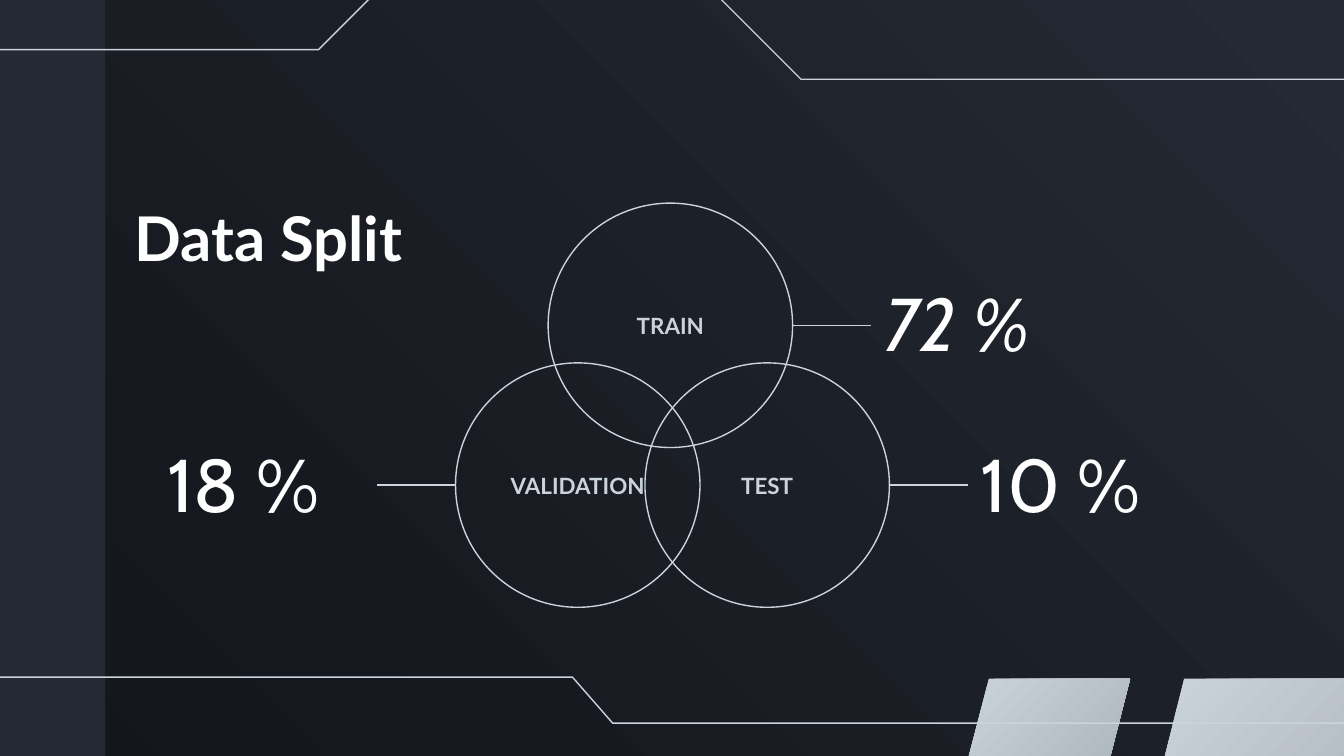
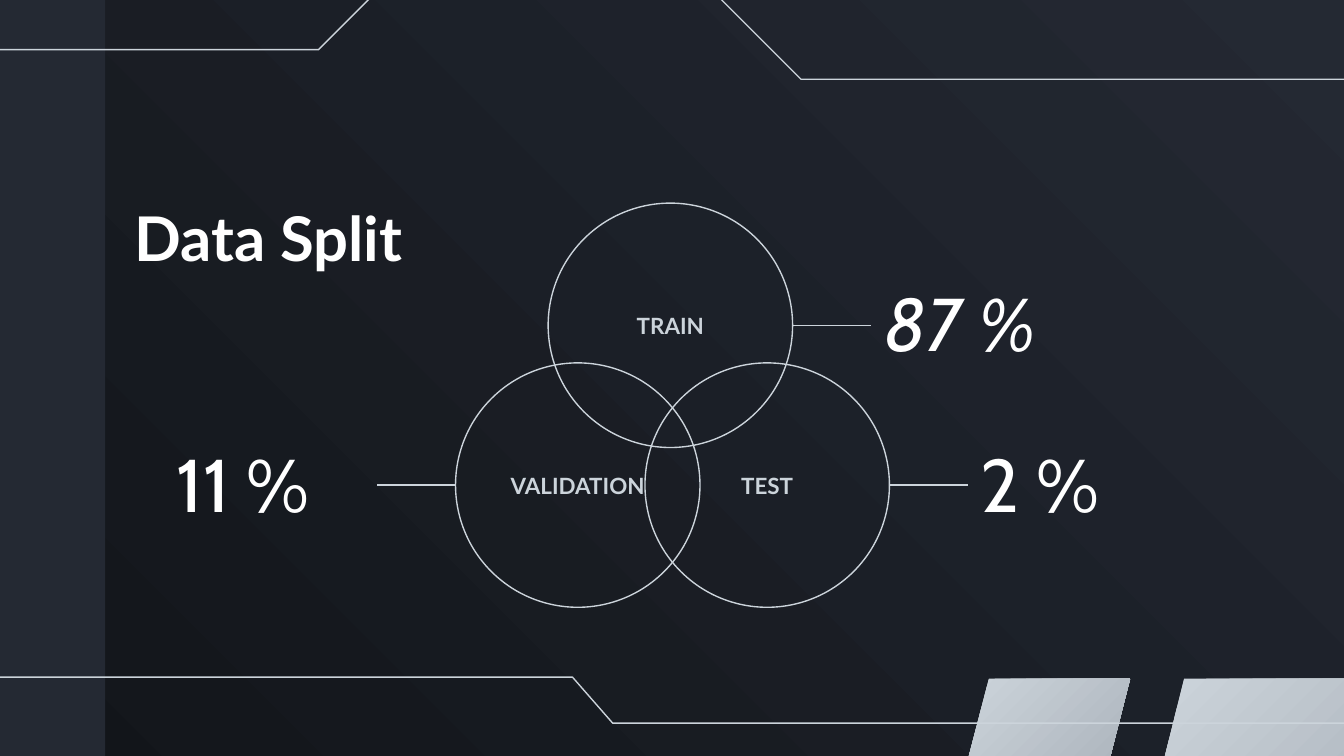
"""Build two data split pages, each with three linked circles and their shares."""
from dataclasses import dataclass

from lxml.etree import SubElement
from pptx import Presentation
from pptx.dml.color import RGBColor
from pptx.dml.fill import FillFormat
from pptx.enum.shapes import MSO_CONNECTOR, MSO_SHAPE
from pptx.enum.text import MSO_ANCHOR, PP_ALIGN
from pptx.oxml.ns import qn
from pptx.shapes.autoshape import Shape
from pptx.slide import Slide
from pptx.util import Cm, Pt

Point = tuple[float, float]


@dataclass(frozen=True)
class Theme:
    """Hold the colours, fonts and sizes of the deck."""
    night: RGBColor = RGBColor(0x12, 0x15, 0x1A)
    slate: RGBColor = RGBColor(0x24, 0x29, 0x33)
    silver: RGBColor = RGBColor(0xCC, 0xD4, 0xDB)
    steel: RGBColor = RGBColor(0xAB, 0xB3, 0xBB)
    white: RGBColor = RGBColor(0xFF, 0xFF, 0xFF)
    text_font: str = "Lato"
    number_font: str = "Cabin"
    title_size: float = 33
    share_size: float = 40
    label_size: float = 12
    line_width: float = 0.75


@dataclass(frozen=True)
class TextStyle:
    """Describe how a single run of text looks."""
    font: str
    size: float
    color: RGBColor
    bold: bool = False
    italic: bool = False


@dataclass(frozen=True)
class Frame:
    """Place a text box, in centimetres."""
    left: float
    top: float
    width: float
    height: float


@dataclass(frozen=True)
class Subset:
    """Describe one circle, its leader side and its share box."""
    label: str
    left: float
    top: float
    side: int
    share_frame: Frame
    align: PP_ALIGN = PP_ALIGN.LEFT
    italic: bool = False


THEME = Theme()
PAGE_WIDTH, PAGE_HEIGHT = 25.4, 14.29
BAND_WIDTH = 1.99
DIAMETER, LEADER = 4.62, 1.49
WIDE_INSET, NARROW_INSET = 0.25, 0.13
TITLE_FRAME = Frame(2.29, 3.53, 6.83, 2.03)
TITLE_STYLE = TextStyle(THEME.text_font, THEME.title_size, THEME.white, bold=True)
LABEL_STYLE = TextStyle(THEME.text_font, THEME.label_size, THEME.silver, bold=True)

TRAIN = Subset("TRAIN", 10.36, 3.84, 1, Frame(16.46, 5.11, 6.12, 2.06), italic=True)
TEST = Subset("TEST", 12.19, 6.86, 1, Frame(18.29, 8.15, 5.03, 2.06))
VALIDATION = Subset("VALIDATION", 8.61, 6.86, -1, Frame(2.08, 8.15, 5.03, 2.06),
                    align=PP_ALIGN.CENTER)
SUBSETS = (TRAIN, TEST, VALIDATION)
SPLITS = (("72 %", "10 %", "18 %"), ("87 %", "2 %", "11 %"))

TILES: tuple[tuple[Point, ...], ...] = (
    ((18.69, 12.83), (18.21, 14.68), (20.88, 14.71), (21.36, 12.83)),
    ((22.38, 12.83), (21.92, 14.68), (27.53, 14.66), (27.53, 12.83)),
)
CIRCUITS: tuple[tuple[Point, ...], ...] = (
    ((-0.1, 0.94), (6.02, 0.94), (7.11, -0.15), (13.49, -0.15), (15.14, 1.5), (25.73, 1.5)),
    ((-0.64, 12.8), (10.82, 12.8), (11.58, 13.67), (26.47, 13.67)),
)


def apply_gradient(fill: FillFormat, start: RGBColor, end: RGBColor, angle: float) -> None:
    """Fill with a two-colour gradient at a counter-clockwise angle."""
    fill.gradient()
    fill.gradient_angle = angle
    for stop, color in zip(fill.gradient_stops, (start, end)):
        stop.color.rgb = color


def apply_outline(shape: Shape) -> None:
    """Leave a shape hollow with a thin silver outline."""
    shape.shadow.inherit = False
    shape.fill.background()
    shape.line.color.rgb = THEME.silver
    shape.line.width = Pt(THEME.line_width)


def add_outline_path(page: Slide, points: tuple[Point, ...], close: bool) -> Shape:
    """Draw a freeform through the given points."""
    corners = [(Cm(x), Cm(y)) for x, y in points]
    builder = page.shapes.build_freeform(*corners[0])
    builder.add_line_segments(corners[1:], close=close)
    return builder.convert_to_shape()


def write_text(shape: Shape, text: str, style: TextStyle, align: PP_ALIGN,
               vertical_inset: float) -> None:
    """Write one styled run into a shape."""
    frame = shape.text_frame
    frame.word_wrap = True
    frame.margin_left = frame.margin_right = Cm(WIDE_INSET)
    frame.margin_top = frame.margin_bottom = Cm(vertical_inset)
    para = frame.paragraphs[0]
    para.alignment = align
    span = para.add_run()
    span.text = text
    span.font.name = style.font
    span.font.size = Pt(style.size)
    span.font.color.rgb = style.color
    span.font.bold = style.bold
    span.font.italic = style.italic


def add_text(page: Slide, frame: Frame, text: str, style: TextStyle,
             align: PP_ALIGN = PP_ALIGN.LEFT, vertical_inset: float = WIDE_INSET) -> None:
    """Add a text box in the given frame."""
    box = page.shapes.add_textbox(Cm(frame.left), Cm(frame.top),
                                  Cm(frame.width), Cm(frame.height))
    write_text(box, text, style, align, vertical_inset)


def add_backdrop(page: Slide) -> None:
    """Draw the background, tiles, side band and circuit lines."""
    apply_gradient(page.background.fill, THEME.night, THEME.slate, 45)
    for points in TILES:
        tile = add_outline_path(page, points, close=True)
        tile.shadow.inherit = False
        apply_gradient(tile.fill, THEME.silver, THEME.steel, 315)
        tile.line.fill.background()
    band = page.shapes.add_shape(MSO_SHAPE.RECTANGLE, 0, 0, Cm(BAND_WIDTH), Cm(PAGE_HEIGHT))
    band.shadow.inherit = False
    band.fill.solid()
    band.fill.fore_color.rgb = THEME.slate
    band.line.fill.background()
    for points in CIRCUITS:
        apply_outline(add_outline_path(page, points, close=False))


def add_circle(page: Slide, subset: Subset) -> None:
    """Draw the labelled circle of a subset."""
    circle = page.shapes.add_shape(MSO_SHAPE.OVAL, Cm(subset.left), Cm(subset.top),
                                   Cm(DIAMETER), Cm(DIAMETER))
    apply_outline(circle)
    circle.text_frame.vertical_anchor = MSO_ANCHOR.MIDDLE
    write_text(circle, subset.label, LABEL_STYLE, PP_ALIGN.CENTER, WIDE_INSET)


def add_leader(page: Slide, subset: Subset) -> None:
    """Draw the line from a circle towards its share."""
    radius = DIAMETER / 2
    start = subset.left + radius + subset.side * radius
    middle = Cm(subset.top + radius)
    leader = page.shapes.add_connector(MSO_CONNECTOR.STRAIGHT, Cm(start), middle,
                                       Cm(start + subset.side * LEADER), middle)
    leader.line.color.rgb = THEME.silver
    leader.line.width = Pt(THEME.line_width)
    SubElement(leader._element.spPr, qn("a:effectLst"))


def add_split(page: Slide, shares: tuple[str, ...]) -> None:
    """Draw the title, shares, circles and leaders of one split."""
    add_text(page, TITLE_FRAME, "Data Split", TITLE_STYLE)
    for subset, share in zip(SUBSETS, shares):
        style = TextStyle(THEME.number_font, THEME.share_size, THEME.white,
                          italic=subset.italic)
        add_text(page, subset.share_frame, share, style, subset.align, NARROW_INSET)
    for subset in SUBSETS:
        add_circle(page, subset)
    for subset in SUBSETS:
        add_leader(page, subset)


def main() -> None:
    """Build and save the deck."""
    deck = Presentation()
    deck.slide_width, deck.slide_height = Cm(PAGE_WIDTH), Cm(PAGE_HEIGHT)
    blank = deck.slide_layouts[6]
    for shares in SPLITS:
        page = deck.slides.add_slide(blank)
        add_backdrop(page)
        add_split(page, shares)
    deck.save("out.pptx")


if __name__ == "__main__":
    main()
